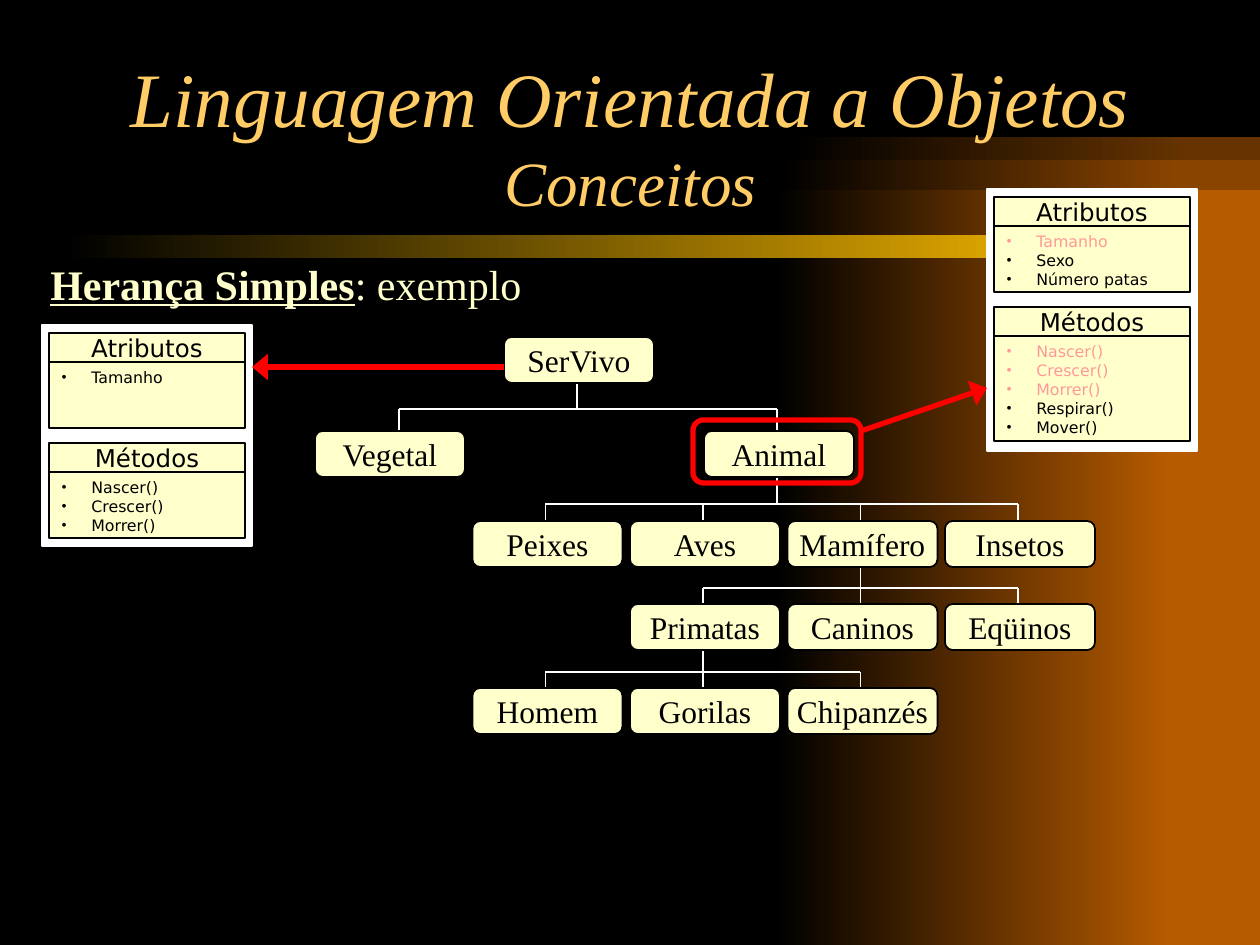
from lxml import etree
from pptx import Presentation
from pptx.dml.color import RGBColor
from pptx.enum.shapes import MSO_CONNECTOR, MSO_SHAPE
from pptx.enum.text import MSO_ANCHOR, MSO_AUTO_SIZE, PP_ALIGN
from pptx.oxml.ns import qn
from pptx.util import Emu, Inches, Pt

SCALE = 914400 / 126
STRAIGHT = MSO_CONNECTOR.STRAIGHT
NODE = MSO_SHAPE.FLOWCHART_ALTERNATE_PROCESS
PROCESS = MSO_SHAPE.FLOWCHART_PROCESS
RECTANGLE = MSO_SHAPE.RECTANGLE
ROUNDED = MSO_SHAPE.ROUNDED_RECTANGLE
TOP, MIDDLE, BOTTOM = MSO_ANCHOR.TOP, MSO_ANCHOR.MIDDLE, MSO_ANCHOR.BOTTOM
LEFT, CENTER = PP_ALIGN.LEFT, PP_ALIGN.CENTER

COLOURS = {
    "black": "000000", "white": "FFFFFF", "cream": "FFFFCC", "title": "FFCC66",
    "red": "FF0000", "inherited": "FF9999", "bar": "FFBF00",
}
SERIF, SANS = "Times New Roman", "DejaVu Sans"

TITLE = [("Linguagem Orientada a Objetos", 44), ("Conceitos", 36)]
HEADING = [("Herança Simples", True), (": exemplo", False)]
COMET = [(792, 110, "663300"), (782, 87, "894400"), (776, 57, "B75B00")]
COMET_MIDDLE, COMET_LENGTH = 247, 395
ROUNDNESS = 0.55

COLUMNS = [(945 + 315 * column) / 2 for column in range(4)]
ROWS = [337, 431, 521, 604, 688]
NODE_WIDTH, NODE_HEIGHT = 150, 46
STEM = 73
NODES = {
    "SerVivo": (504, ROWS[0]),
    "Vegetal": (315, ROWS[1]),
    "Animal": (704, ROWS[1]),
}
LEVELS = [
    (2, 0, ["Peixes", "Aves", "Mamífero", "Insetos"]),
    (3, 1, ["Primatas", "Caninos", "Eqüinos"]),
    (4, 0, ["Homem", "Gorilas", "Chipanzés"]),
]
STEMS = {"Vegetal": 84}
BRANCHES = [("SerVivo", 409, ["Vegetal", "Animal"])]
for parent, bus, level in zip(["Animal", "Mamífero", "Primatas"], [504, 588, 672], LEVELS):
    BRANCHES.append((parent, bus, level[2]))
for row, first_column, names in LEVELS:
    for column, name in enumerate(names, first_column):
        NODES[name] = (COLUMNS[column], ROWS[row])

CARDS = [
    (987, 189, 262, [
        ("Atributos", 8, 66, [("Tamanho", "inherited"), ("Sexo", "black"),
                              ("Número patas", "black")]),
        ("Métodos", 118, 105, [("Nascer()", "inherited"), ("Crescer()", "inherited"),
                               ("Morrer()", "inherited"), ("Respirar()", "black"),
                               ("Mover()", "black")]),
    ]),
    (42, 325, 221, [
        ("Atributos", 8, 66, [("Tamanho", "black")]),
        ("Métodos", 118, 66, [("Nascer()", "black"), ("Crescer()", "black"),
                              ("Morrer()", "black")]),
    ]),
]
CARD_WIDTH, INNER_WIDTH, HEADER_HEIGHT = 210, 196, 29
ARROWS = [(861, 431, 987, 388), (504, 367, 252, 367)]


def px(value):
    return Emu(round(value * SCALE))


def rgb(name):
    return RGBColor.from_string(COLOURS.get(name, name))


def add_text(paragraph, text, *, size, font=SERIF, colour="black", **style):
    run = paragraph.add_run()
    run.text = text
    run.font.size, run.font.name = Pt(size), font
    run.font.color.rgb = rgb(colour)
    for key, value in style.items():
        setattr(run.font, key, value)


def set_frame(shape, anchor, wrap, align=CENTER):
    frame = shape.text_frame
    frame.auto_size = MSO_AUTO_SIZE.NONE
    frame.vertical_anchor, frame.word_wrap = anchor, wrap
    frame.margin_left = frame.margin_right = Inches(0.1)
    frame.margin_top = frame.margin_bottom = Inches(0.05)
    frame.paragraphs[0].alignment = align
    return frame


def add_box(shapes, kind, box, fill="cream", line="black", weight=1):
    shape = shapes.add_shape(kind, *map(px, box))
    shape.shadow.inherit = False
    if fill:
        shape.fill.solid()
        shape.fill.fore_color.rgb = rgb(fill)
    else:
        shape.fill.background()
    shape.line.color.rgb = rgb(line)
    shape.line.width = Pt(weight)
    return shape


def fade(shape, colour):
    shape.shadow.inherit = False
    shape.line.fill.background()
    shape.fill.gradient()
    shape.fill.gradient_angle = 0
    for stop, name in zip(shape.fill.gradient_stops, ["black", colour]):
        stop.color.rgb = rgb(name)


def add_line(shapes, ends, colour="white", weight=1, arrow=False):
    line = shapes.add_connector(STRAIGHT, *map(px, ends))
    line.line.color.rgb = rgb(colour)
    line.line.width = Pt(weight)
    if arrow:
        etree.SubElement(line.line._get_or_add_ln(), qn("a:tailEnd"), type="triangle", w="lg")
    etree.SubElement(line._element.spPr, qn("a:effectLst"))


def add_half_ellipse(shapes, left, radius):
    right = left + COMET_LENGTH
    outline = shapes.build_freeform(left, COMET_MIDDLE - radius, scale=SCALE)
    outline.add_line_segments([(right, COMET_MIDDLE), (left, COMET_MIDDLE + radius)])
    shape = outline.convert_to_shape()
    width, height = shape.width, shape.height
    bend, rise = ROUNDNESS * width, ROUNDNESS * height / 2
    curves = [
        [(bend, 0), (width, height / 2 - rise), (width, height / 2)],
        [(width, height / 2 + rise), (bend, height), (0, height)],
    ]
    for segment, points in zip(list(shape._element.iter(qn("a:lnTo"))), curves):
        curve = etree.Element(qn("a:cubicBezTo"))
        for x, y in points:
            etree.SubElement(curve, qn("a:pt"), x=str(round(x)), y=str(round(y)))
        segment.getparent().replace(segment, curve)
    return shape


def add_backdrop(shapes):
    for left, radius, colour in COMET:
        fade(add_half_ellipse(shapes, left, radius), colour)
    bar = shapes.add_shape(ROUNDED, *map(px, (63, 235, 1091, 23)))
    bar.adjustments[0] = 0.5
    fade(bar, "bar")


def add_tree(shapes):
    for parent, bus, children in BRANCHES:
        left, top = NODES[parent]
        stems = [NODES[child][0] + STEMS.get(child, STEM) for child in children]
        add_line(shapes, (left + STEM, top + NODE_HEIGHT, left + STEM, bus))
        add_line(shapes, (stems[0], bus, stems[-1], bus))
        for child, stem in zip(children, stems):
            add_line(shapes, (stem, bus, stem, NODES[child][1]))
    for name, corner in NODES.items():
        node = add_box(shapes, NODE, (*corner, NODE_WIDTH, NODE_HEIGHT))
        add_text(set_frame(node, MIDDLE, False).paragraphs[0], name, size=18)
    add_box(shapes, NODE, (693, 420, 168, 63), fill=None, line="red", weight=3)


def add_bullet(paragraph, colour):
    properties = paragraph._p.get_or_add_pPr()
    properties.set("marL", str(px(30)))
    properties.set("indent", str(-px(30)))
    bullet_colour = etree.SubElement(properties, qn("a:buClr"))
    etree.SubElement(bullet_colour, qn("a:srgbClr"), val=COLOURS[colour])
    etree.SubElement(properties, qn("a:buFont"), typeface=SERIF)
    etree.SubElement(properties, qn("a:buChar"), char="•")


def add_card(shapes, left, top, height, sections):
    add_box(shapes, RECTANGLE, (left, top, CARD_WIDTH, height), "white", "white")
    inner_left = left + (CARD_WIDTH - INNER_WIDTH) / 2
    for heading, offset, body_height, members in sections:
        header_top = top + offset
        header = add_box(shapes, PROCESS, (inner_left, header_top, INNER_WIDTH, HEADER_HEIGHT))
        add_text(set_frame(header, MIDDLE, False).paragraphs[0], heading, size=14, font=SANS)
        body = add_box(shapes, PROCESS,
                       (inner_left, header_top + HEADER_HEIGHT, INNER_WIDTH, body_height))
        frame = set_frame(body, TOP, True)
        for index, (member, colour) in enumerate(members):
            paragraph = frame.add_paragraph() if index else frame.paragraphs[0]
            paragraph.alignment = LEFT
            add_bullet(paragraph, colour)
            add_text(paragraph, member, size=9, font=SANS, colour=colour)


def main():
    deck = Presentation()
    deck.slide_width, deck.slide_height = px(1260), px(945)
    slide = deck.slides.add_slide(deck.slide_layouts[5])
    slide.background.fill.solid()
    slide.background.fill.fore_color.rgb = rgb("black")
    shapes = slide.shapes
    title = shapes.title
    add_backdrop(shapes)
    shapes._spTree.append(title._element)

    title.left, title.top, title.width, title.height = map(px, (95, 44, 1071, 181))
    title_line = set_frame(title, BOTTOM, True).paragraphs[0]
    for index, (text, size) in enumerate(TITLE):
        if index:
            title_line.add_line_break()
        add_text(title_line, text, size=size, colour="title", italic=True)

    heading = shapes.add_textbox(*map(px, (38, 252, 1196, 63)))
    heading_line = set_frame(heading, TOP, True, LEFT).paragraphs[0]
    for text, strong in HEADING:
        add_text(heading_line, text, size=24, colour="cream", bold=strong, underline=strong)

    add_tree(shapes)
    for card in CARDS:
        add_card(shapes.add_group_shape().shapes, *card)
    for ends in ARROWS:
        add_line(shapes, ends, "red", 3, arrow=True)
    deck.save("out.pptx")


if __name__ == "__main__":
    main()
